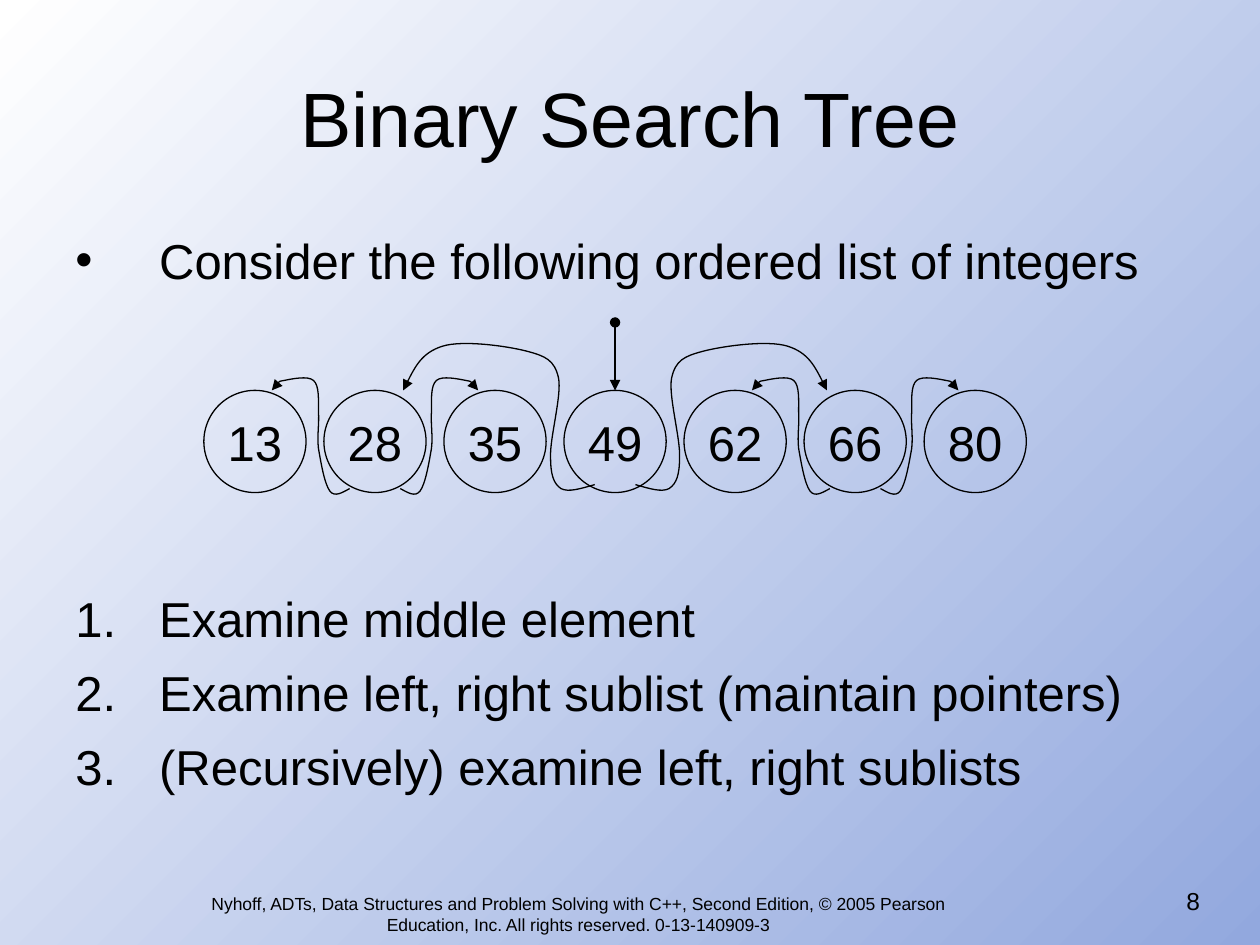
from lxml import etree
from pptx import Presentation
from pptx.dml.color import RGBColor
from pptx.enum.shapes import MSO_CONNECTOR, MSO_SHAPE
from pptx.enum.text import MSO_ANCHOR, PP_ALIGN
from pptx.oxml.ns import qn
from pptx.util import Cm, Pt

CENTER, RIGHT, LEFT = PP_ALIGN.CENTER, PP_ALIGN.RIGHT, PP_ALIGN.LEFT
MIDDLE = MSO_ANCHOR.MIDDLE
OVAL, STRAIGHT = MSO_SHAPE.OVAL, MSO_CONNECTOR.STRAIGHT
COLORS = {"ink": "000000", "light": "FFFFFF", "deep": "92A8DE"}
FONT = "Arial"

# Content
TITLE = "Binary Search Tree"
FOOTER = ("Nyhoff, ADTs, Data Structures and Problem Solving with C++, Second Edition, "
          "© 2005 Pearson Education, Inc. All rights reserved. 0-13-140909-3")
PAGE_NUMBER = "8"
BULLET = ("buChar", {"char": "•"})
NUMBER = ("buAutoNum", {"type": "arabicPeriod"})
ITEMS = [  # text, marker, space before in points
    ("Consider the following ordered list of integers", BULLET, 0),
    ("Examine middle element", NUMBER, 171),
    ("Examine left, right sublist (maintain pointers)", NUMBER, 8.5),
    ("(Recursively) examine left, right sublists", NUMBER, 8.5),
]
VALUES = [13, 28, 35, 49, 62, 66, 80]
ROOT = 49

# Link curves in cm: x from the parent's centre, y from the circles' top
NEAR = [(0.51, 1.98), (0.66, 2.06), (0.81, 2.16), (0.91, 2.03), (1.02, 1.88),
        (1.09, 1.45), (1.14, 1.17), (1.17, 0.91), (1.12, 0.66), (1.14, 0.43),
        (1.14, 0.2), (1.12, -0.1), (1.24, -0.2), (1.35, -0.3), (1.68, -0.23),
        (1.83, -0.2), (1.96, -0.18), (2.03, -0.08), (2.08, 0)]
FAR = [(0.41, 1.9), (0.69, 1.98), (0.94, 2.06), (1.09, 1.98), (1.24, 1.88),
       (1.3, 1.7), (1.3, 1.35), (1.32, 0.97), (1.07, 0.1), (1.14, -0.25),
       (1.22, -0.61), (1.4, -0.69), (1.78, -0.79), (2.16, -0.89), (3.07, -1.02),
       (3.48, -0.89), (3.89, -0.76), (4.09, -0.38), (4.27, 0)]
LINKS = [(ROOT, FAR), (28, NEAR), (66, NEAR)]  # each drawn to both sides

# Circle row in cm
FIRST_CENTER, STEP, CIRCLE_TOP, DIAMETER = 5.14, 2.42, 7.87, 2.06


def color(name):
    return RGBColor.from_string(COLORS[name])


def add_span(para, text, size, align):
    para.alignment = align
    span = para.add_run()
    span.text = text
    span.font.name, span.font.size = FONT, Pt(size)
    span.font.color.rgb = color("ink")


def add_box(page, left, top, width, height):
    box = page.shapes.add_textbox(Cm(left), Cm(top), Cm(width), Cm(height))
    box.text_frame.word_wrap = True
    return box.text_frame


def set_line(shape, **ends):
    shape.line.color.rgb = color("ink")
    shape.line.width = Pt(0.75)
    outline = shape.element.xpath(".//a:ln")[0]
    for tag, kind in ends.items():
        etree.SubElement(outline, qn(f"a:{tag}"), type=kind)


def add_curve(page, points):
    start, *rest = [(Cm(x), Cm(y)) for x, y in points]
    builder = page.shapes.build_freeform(*start)
    builder.add_line_segments(rest, close=False)
    curve = builder.convert_to_shape()
    # Every three segments become one cubic curve
    segments = curve.element.xpath(".//a:lnTo")
    for first in range(0, len(segments), 3):
        cubic = etree.Element(qn("a:cubicBezTo"))
        segments[first].addprevious(cubic)
        for segment in segments[first:first + 3]:
            cubic.append(segment[0])
            segment.getparent().remove(segment)
    curve.shadow.inherit = False
    curve.fill.background()
    set_line(curve, tailEnd="triangle")


def main():
    deck = Presentation()
    deck.slide_width, deck.slide_height = Cm(25.4), Cm(19.05)
    page = deck.slides.add_slide(deck.slide_layouts[5])

    # Background
    fill = page.background.fill
    fill.gradient()
    fill.gradient_angle = 315
    for stop, name in zip(fill.gradient_stops, ("light", "deep")):
        stop.color.rgb = color(name)

    # Title
    title = page.shapes.title
    title.left, title.top, title.width, title.height = Cm(1.27), Cm(0.76), Cm(22.86), Cm(3.18)
    title.text_frame.vertical_anchor = MIDDLE
    add_span(title.text_frame.paragraphs[0], TITLE, 44, CENTER)

    # Footer and page number
    footer = add_box(page, 3.91, 17.88, 15.49, 1.17)
    add_span(footer.paragraphs[0], FOOTER, 10, CENTER)
    number = add_box(page, 18.52, 17.73, 5.92, 1.32)
    add_span(number.paragraphs[0], PAGE_NUMBER, 14, RIGHT)

    # Bulleted and numbered text
    body = add_box(page, 1.27, 4.45, 24.13, 13.18)
    body.margin_top = Cm(0.2)
    for index, (text, (tag, attributes), space) in enumerate(ITEMS):
        para = body.add_paragraph() if index else body.paragraphs[0]
        settings = para._p.get_or_add_pPr()
        settings.set("marL", str(Cm(1.69)))
        settings.set("indent", str(-Cm(1.69)))
        etree.SubElement(settings, qn("a:buFont"), typeface=FONT)
        etree.SubElement(settings, qn(f"a:{tag}"), **attributes)
        para.space_before = Pt(space)
        add_span(para, text, 28, LEFT)

    # Circles
    centers = {value: FIRST_CENTER + i * STEP for i, value in enumerate(VALUES)}
    circles = {}
    for value, center in centers.items():
        circle = page.shapes.add_shape(OVAL, Cm(center - DIAMETER / 2), Cm(CIRCLE_TOP),
                                       Cm(DIAMETER), Cm(DIAMETER))
        circle.shadow.inherit = False
        circle.fill.background()
        set_line(circle)
        frame = circle.text_frame
        frame.margin_left = frame.margin_right = frame.margin_top = frame.margin_bottom = 0
        frame.vertical_anchor = MIDDLE
        add_span(frame.paragraphs[0], str(value), 28, CENTER)
        circles[value] = circle

    # Root pointer
    x = Cm(centers[ROOT])
    pointer = page.shapes.add_connector(STRAIGHT, x, Cm(6.5), x, Cm(CIRCLE_TOP))
    pointer.end_connect(circles[ROOT], 0)
    set_line(pointer, headEnd="oval", tailEnd="triangle")
    etree.SubElement(pointer.element.spPr, qn("a:effectLst"))

    # Links to the left and right children
    for parent, shape in LINKS:
        for side in (-1, 1):
            add_curve(page, [(centers[parent] + side * dx, CIRCLE_TOP + dy) for dx, dy in shape])

    deck.save("out.pptx")


if __name__ == "__main__":
    main()
